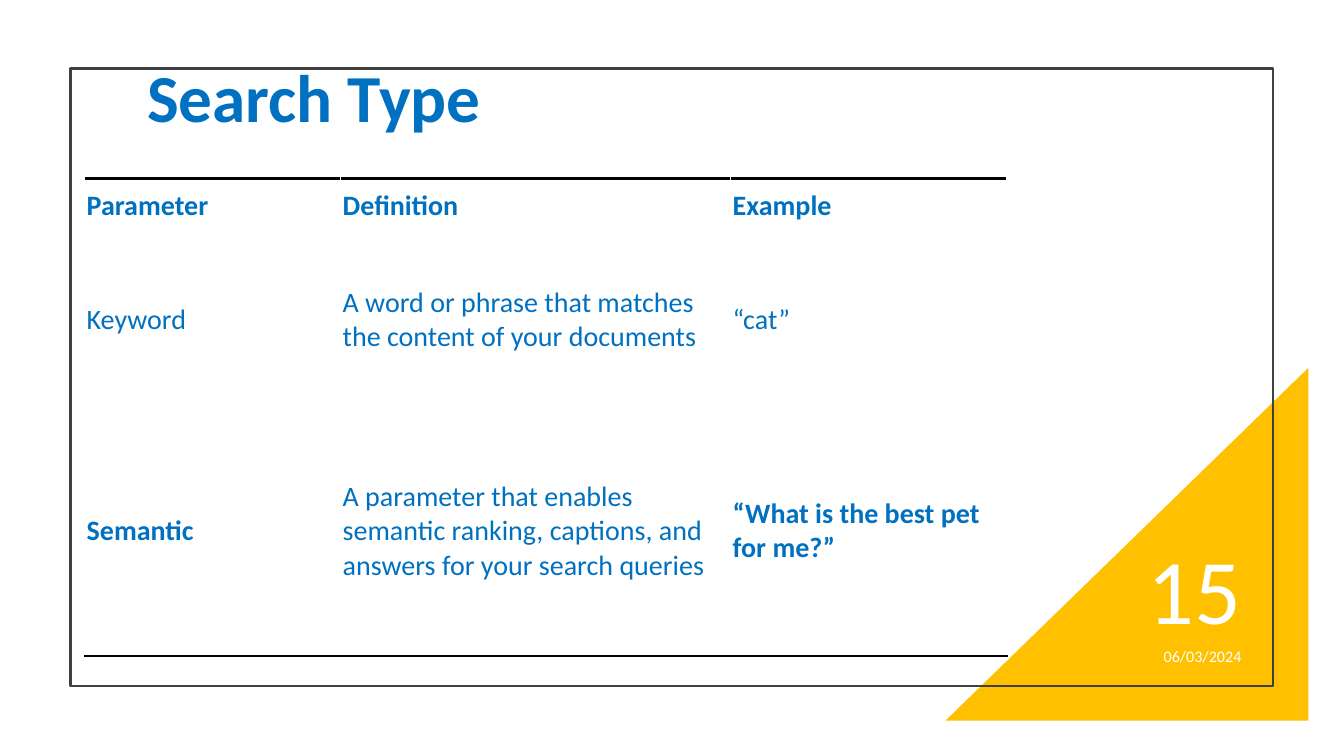
from lxml.etree import SubElement
from pptx import Presentation
from pptx.dml.color import RGBColor
from pptx.enum.shapes import MSO_SHAPE
from pptx.enum.text import MSO_ANCHOR, MSO_AUTO_SIZE, PP_ALIGN
from pptx.oxml import parse_xml
from pptx.oxml.ns import nsdecls, qn
from pptx.util import Pt

BLUE, GOLD, GREY, BLACK, WHITE = "0070C0", "FFC000", "404040", "000000", "FFFFFF"
FONT = "Calibri"
COLUMN_WIDTHS = (182.88, 278.64, 197.28)
ROW_HEIGHTS = (39.6, 123.12, 178.56)
SEARCH_TYPES = (
    ("Parameter", "Definition", "Example"),
    ("Keyword", "A word or phrase that matches the content of your documents", "“cat”"),
    ("Semantic", "A parameter that enables semantic ranking, captions, and answers for your search queries",
     "“What is the best pet for me?”"),
)
BOLD_CELLS = {(0, 0), (0, 1), (0, 2), (2, 0), (2, 2)}


def color(value):
    """Turn a hex string into a colour."""
    return RGBColor.from_string(value)


def write(frame, text, size, ink, bold=False, align=PP_ALIGN.LEFT, spacing=None, after=0):
    """Fill a text frame with one formatted paragraph."""
    frame.text = text
    frame.word_wrap = True
    para = frame.paragraphs[0]
    para.alignment = align
    para.line_spacing = spacing
    para.space_before = Pt(0)
    para.space_after = Pt(after)
    for span in para.runs:
        span.font.name = FONT
        span.font.size = Pt(size)
        span.font.bold = bold
        span.font.color.rgb = color(ink)


def add_corner(page, left, top, width, height):
    """Add the gold triangle that fills the lower right corner."""
    corner = page.shapes.add_shape(MSO_SHAPE.RIGHT_TRIANGLE, Pt(left), Pt(top), Pt(width), Pt(height))
    corner.element.spPr.get_or_add_xfrm().set("flipH", "1")
    corner.shadow.inherit = False
    corner.fill.solid()
    corner.fill.fore_color.rgb = color(GOLD)
    corner.line.fill.background()


def add_frame(page, left, top, width, height):
    """Add the thin outline around the content."""
    outline = page.shapes.add_shape(MSO_SHAPE.RECTANGLE, Pt(left), Pt(top), Pt(width), Pt(height))
    outline.shadow.inherit = False
    outline.fill.background()
    outline.line.color.rgb = color(GREY)
    outline.line.width = Pt(1.5)


def add_title(page, left, top, width, height):
    """Place the heading in the title placeholder."""
    title = page.shapes.title
    title.left, title.top, title.width, title.height = Pt(left), Pt(top), Pt(width), Pt(height)
    write(title.text_frame, "Search Type", 48, BLUE, bold=True, spacing=0.9)
    title.text_frame.auto_size = MSO_AUTO_SIZE.NONE
    title.text_frame.vertical_anchor = MSO_ANCHOR.BOTTOM


def add_label(page, left, top, width, height, text, size, spacing=None):
    """Add a white right-aligned label."""
    box = page.shapes.add_textbox(Pt(left), Pt(top), Pt(width), Pt(height))
    write(box.text_frame, text, size, WHITE, align=PP_ALIGN.RIGHT, spacing=spacing, after=6)
    box.text_frame.vertical_anchor = MSO_ANCHOR.MIDDLE


def add_footer(page, left, top, width, height):
    """Add the slide number above the date, sharing a right edge."""
    add_label(page, left, top + height - 28.8, width, 28.8, "06/03/2024", 11.5)
    add_label(page, left + width - 131.04, top, 131.04, 79.2, "15", 66, spacing=0.9)


def add_rule(cell, side):
    """Draw a black rule on one side of a cell."""
    rule = parse_xml(f'<a:{side} {nsdecls("a")} w="{Pt(2)}"/>')
    fill = SubElement(rule, qn("a:solidFill"))
    SubElement(fill, qn("a:srgbClr"), val=BLACK)
    cell._tc.get_or_add_tcPr().insert(0, rule)


def add_search_table(page, left, top, width, height):
    """Add the table of search types with rules above and below."""
    last = len(SEARCH_TYPES) - 1
    table = page.shapes.add_table(last + 1, len(COLUMN_WIDTHS), Pt(left), Pt(top), Pt(width), Pt(height)).table
    table.first_row = table.horz_banding = False
    for column, column_width in zip(table.columns, COLUMN_WIDTHS):
        column.width = Pt(column_width)
    for row, row_height in zip(table.rows, ROW_HEIGHTS):
        row.height = Pt(row_height)
    for r, texts in enumerate(SEARCH_TYPES):
        for c, text in enumerate(texts):
            cell = table.cell(r, c)
            write(cell.text_frame, text, 20, BLUE, bold=(r, c) in BOLD_CELLS)
            cell.vertical_anchor = MSO_ANCHOR.MIDDLE
            cell.margin_left = cell.margin_right = Pt(1.44)
            cell.margin_top = cell.margin_bottom = Pt(3.6)
            cell.fill.solid()
            cell.fill.fore_color.rgb = color(WHITE)
            if r == 0:
                add_rule(cell, "lnT")
            if r == last:
                add_rule(cell, "lnB")


def main():
    """Build and save the deck."""
    deck = Presentation()
    deck.slide_width, deck.slide_height = Pt(960), Pt(540)
    page = deck.slides.add_slide(deck.slide_layouts[5])
    add_corner(page, 681.12 - 5.76, 262.8, 259.2, 252)
    add_frame(page, 50.4, 48.96, 858.96, 441.36)
    add_title(page, 97.92, -3.6, 648, 105.12)
    add_footer(page, 706.32, 385.2, 187.56, 97.92)
    add_search_table(page, 60.48, 127.44, sum(COLUMN_WIDTHS), sum(ROW_HEIGHTS))
    deck.save("out.pptx")


if __name__ == "__main__":
    main()
